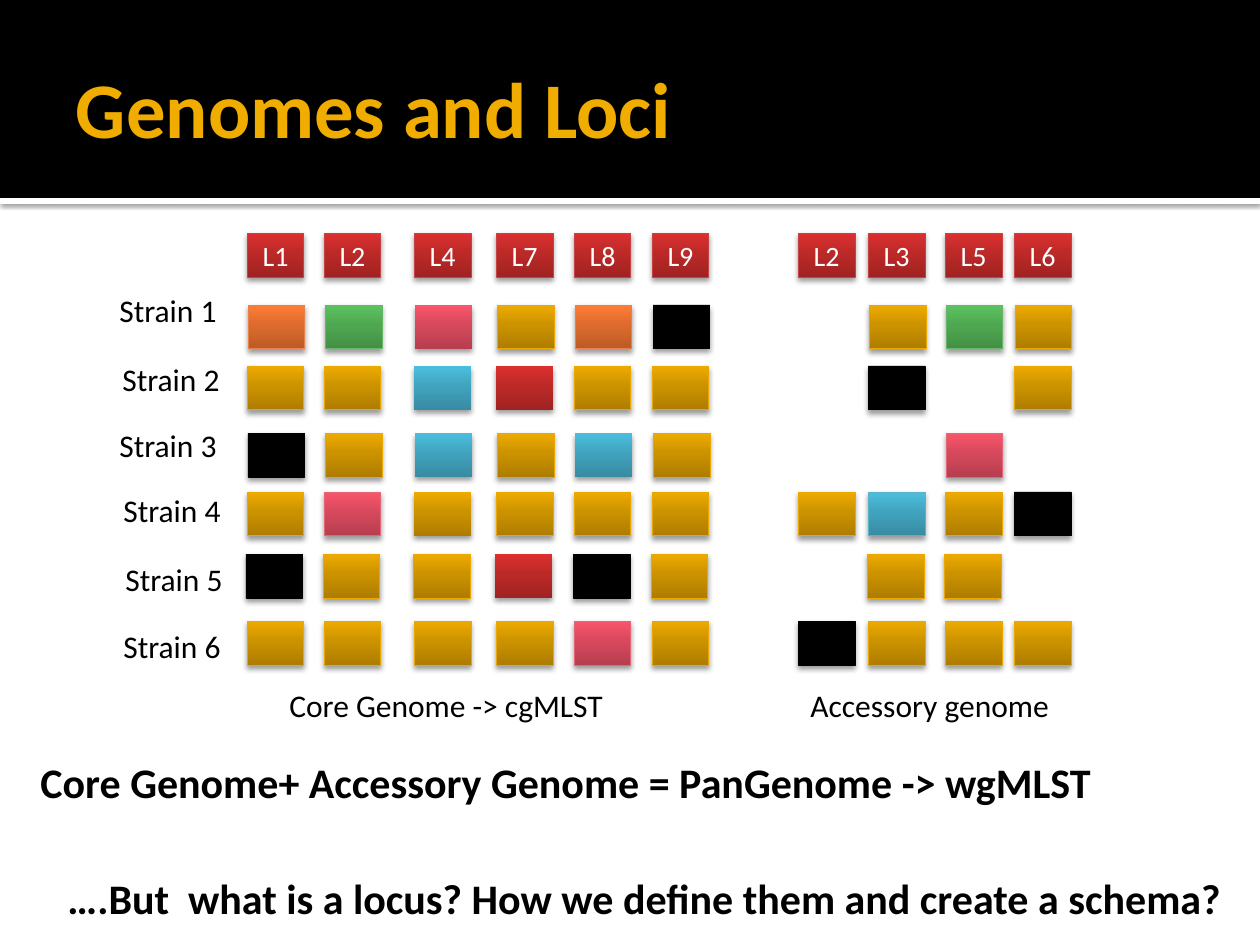
from copy import deepcopy
from dataclasses import dataclass
from typing import NamedTuple, Optional

from pptx import Presentation
from pptx.dml.color import RGBColor
from pptx.enum.shapes import MSO_SHAPE as Shape
from pptx.enum.text import MSO_ANCHOR as Anchor, MSO_AUTO_SIZE as AutoSize, PP_ALIGN as Align
from pptx.oxml import parse_xml
from pptx.oxml.ns import nsdecls, qn
from pptx.util import Emu, Pt

EMU_PER_PX = 914400 / 126


def px(n: int) -> Emu:
    return Emu(round(n * EMU_PER_PX))


class Allele(NamedTuple):
    """Gradient colours from bottom to top, and the outline colour."""
    stops: tuple[str, ...]
    line: str


class Shadow(NamedTuple):
    opacity: int
    blur: float
    distance: float


class Strain(NamedTuple):
    label: str
    label_x: int
    label_y: int
    y: int
    dx: int
    alleles: str


class Caption(NamedTuple):
    text: str
    x: int
    y: int
    w: int
    h: int
    size: int
    bold: bool = False


@dataclass(frozen=True)
class Theme:
    font: str = "Calibri"
    title: str = "F0AD00"
    dark: str = "000000"
    light: str = "FFFFFF"
    title_size: int = 45
    heading_size: int = 24
    label_size: int = 18
    locus_size: int = 16
    bar_shadow: Shadow = Shadow(60, 2.5, 0.8)
    cell_shadow: Shadow = Shadow(38, 3.1, 2)


T = Theme()
ALLELES = {
    "Y": Allele(("AE7D00", "CC9300", "EEAB00"), "EBA900"),
    "R": Allele(("A02322", "BC2A28", "DC302F"), "C54342"),
    "P": Allele(("B73E4F", "D7495D", "FA556C"), "E46778"),
    "B": Allele(("378BA2", "41A4BF", "4BBFDE"), "5BB3CA"),
    "O": Allele(("BC5B26", "DD6B2D", "FF7D37"), "E7824C"),
    "G": Allele(("438F45", "4FA851", "5CC35F"), "67B569"),
    "K": Allele((T.dark,), T.dark),
}
STOP_POSITIONS = (0, 0.55, 1)

CELL_W, CELL_H = 57, 44
LOCI_Y = 233
LOCI = (("L1", 247), ("L2", 324), ("L4", 414), ("L7", 496), ("L8", 574), ("L9", 652),
        ("L2", 798), ("L3", 868), ("L5", 945), ("L6", 1014))
# One letter per locus: "." is an absent locus, lower case a cell without outline.
STRAINS = (
    Strain("Strain 1", 107, 285, 305, 1, "OGpYOk.YGY"),
    Strain("Strain 2", 110, 354, 366, 0, "YYbrYY.K.Y"),
    Strain("Strain 3", 107, 420, 433, 1, "KYbYbY..P."),
    Strain("Strain 4", 111, 485, 492, 0, "YPyYYYYBYK"),
    Strain("Strain 5", 113, 554, 554, -1, "KYYrKY.YY."),
    Strain("Strain 6", 111, 621, 621, 0, "YYYYPYKYYY"),
)
CAPTIONS = (
    Caption("Core Genome -> cgMLST", 277, 680, 354, 50, T.label_size),
    Caption("Accessory genome", 798, 680, 272, 50, T.label_size),
    Caption("Core Genome+ Accessory Genome = PanGenome -> wgMLST",
            28, 750, 1128, 63, T.heading_size, True),
    Caption("….But  what is a locus? How we define them and create a schema?",
            55, 866, 1227, 63, T.heading_size, True),
)


def write(tf, text: str, *, size: int, color: str, bold: bool = False,
          align: Align = Align.LEFT) -> None:
    p = tf.paragraphs[0]
    p.alignment = align
    r = p.add_run()
    r.text = text
    r.font.name, r.font.size, r.font.bold = T.font, Pt(size), bold
    r.font.color.rgb = RGBColor.from_string(color)


def add_shadow(sp, shadow: Shadow) -> None:
    """Replace the theme effect with a soft shadow straight below."""
    sp.shadow.inherit = False
    effects = sp._element.spPr.find(qn("a:effectLst"))
    effects.append(parse_xml(
        f'<a:outerShdw {nsdecls("a")} blurRad="{Pt(shadow.blur)}" dist="{Pt(shadow.distance)}" '
        f'dir="5400000" rotWithShape="0"><a:srgbClr val="{T.dark}">'
        f'<a:alpha val="{shadow.opacity * 1000}"/></a:srgbClr></a:outerShdw>'))


def paint(sp, colors: tuple[str, ...]) -> None:
    """Fill with one solid colour or a vertical three-stop gradient."""
    if len(colors) == 1:
        sp.fill.solid()
        sp.fill.fore_color.rgb = RGBColor.from_string(colors[0])
        return
    sp.fill.gradient()
    sp.fill.gradient_angle = 90
    stops = sp._element.spPr.find(".//" + qn("a:gsLst"))
    stops.insert(1, deepcopy(stops[0]))
    for stop, color, position in zip(sp.fill.gradient_stops, colors, STOP_POSITIONS):
        stop.color.rgb = RGBColor.from_string(color)
        stop.position = position


def add_rect(s, x: int, y: int, w: int, h: int, colors: tuple[str, ...], *,
             line: Optional[str] = None, shadow: Optional[Shadow] = None):
    sp = s.shapes.add_shape(Shape.RECTANGLE, px(x), px(y), px(w), px(h))
    paint(sp, colors)
    if line:
        sp.line.color.rgb = RGBColor.from_string(line)
        sp.line.width = Pt(0.5)
    else:
        sp.line.fill.background()
    if shadow:
        add_shadow(sp, shadow)
    else:
        sp.shadow.inherit = False
    return sp


def add_cell(s, x: int, y: int, code: str):
    allele = ALLELES[code.upper()]
    return add_rect(s, x, y, CELL_W, CELL_H, allele.stops,
                    line=allele.line if code.isupper() else None, shadow=T.cell_shadow)


def add_caption(s, c: Caption) -> None:
    tf = s.shapes.add_textbox(px(c.x), px(c.y), px(c.w), px(c.h)).text_frame
    tf.word_wrap = False
    tf.auto_size = AutoSize.SHAPE_TO_FIT_TEXT
    write(tf, c.text, size=c.size, color=T.dark, bold=c.bold)


def add_header(s) -> None:
    add_rect(s, 0, 198, 1260, 6, (T.light,), shadow=T.bar_shadow)
    add_rect(s, 0, 0, 1260, 198, (T.dark,))
    title = s.shapes.title
    s.shapes._spTree.append(title._element)  # in front of the bars
    title.left, title.top, title.width, title.height = px(63), px(21), px(1134), px(173)
    tf = title.text_frame
    tf.auto_size, tf.vertical_anchor = AutoSize.NONE, Anchor.MIDDLE
    tf.margin_left = px(13)
    tf.margin_top = tf.margin_right = tf.margin_bottom = px(6)
    write(tf, "Genomes and Loci", size=T.title_size, color=T.title, bold=True)


def add_loci_grid(s) -> None:
    for name, x in LOCI:
        tf = add_cell(s, x, LOCI_Y, "R").text_frame
        tf.vertical_anchor = Anchor.MIDDLE
        write(tf, name, size=T.locus_size, color=T.light, align=Align.CENTER)
    for strain in STRAINS:
        add_caption(s, Caption(strain.label, strain.label_x, strain.label_y, 126, 50, T.label_size))
        for (_, x), code in zip(LOCI, strain.alleles):
            if code != ".":
                add_cell(s, x + strain.dx, strain.y, code)


def main() -> None:
    prs = Presentation()
    prs.slide_width, prs.slide_height = px(1260), px(945)
    s = prs.slides.add_slide(prs.slide_layouts[5])
    add_header(s)
    add_loci_grid(s)
    for caption in CAPTIONS:
        add_caption(s, caption)
    prs.save("out.pptx")


if __name__ == "__main__":
    main()
